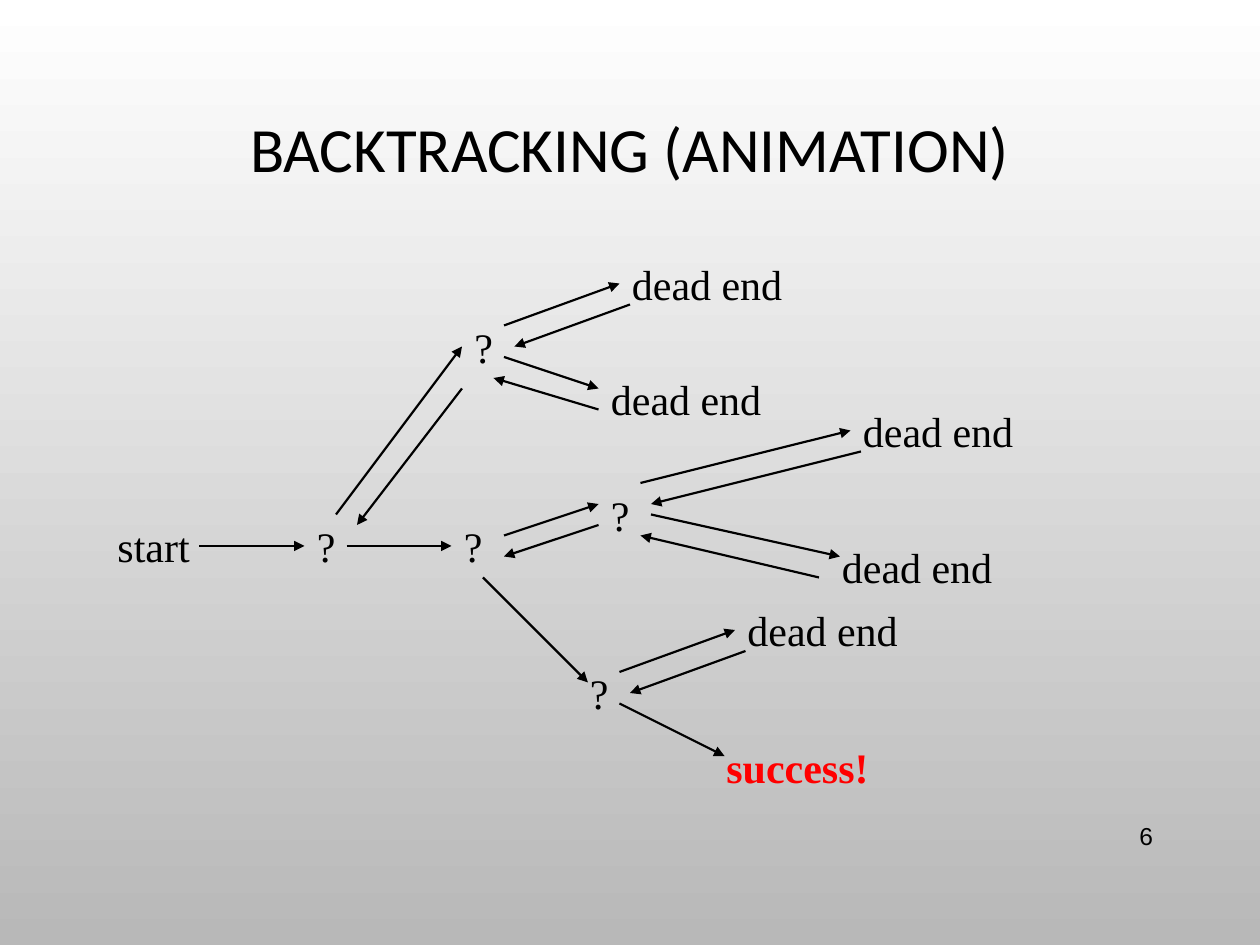
import pptx
import pptx.dml.color
import pptx.enum.shapes
import pptx.enum.text
import pptx.oxml
import pptx.oxml.ns
import pptx.util
from pptx.util import Pt

COLORS = {"ink": "000000", "success": "FF0000", "top": "FFFFFF", "bottom": "B8B8B8"}
ALIGN = pptx.enum.text.PP_ALIGN
ANCHOR = pptx.enum.text.MSO_ANCHOR

# left, top, width, text
NODES = [
    (60, 294, 60, "start"),
    (174, 294, 36, "?"),
    (264, 180, 30, "?"),
    (258, 294, 36, "?"),
    (342, 276, 36, "?"),
    (330, 378, 36, "?"),
    (354, 144, 126, "dead end"),
    (342, 210, 126, "dead end"),
    (486, 228, 126, "dead end"),
    (474, 306, 126, "dead end"),
    (420, 342, 126, "dead end"),
]

# start x, start y, end x, end y
FORWARD_STEPS = [
    (114, 312, 174, 312),
    (192, 294, 264, 198),
    (198, 312, 258, 312),
    (288, 186, 354, 162),
    (288, 204, 342, 222),
    (288, 306, 342, 288),
    (366, 276, 486, 246),
    (372, 294, 480, 318),
    (276, 330, 336, 390),
    (354, 384, 420, 360),
    (354, 402, 414, 432),
]
BACKWARD_STEPS = [
    (360, 174, 294, 198),
    (342, 234, 282, 216),
    (264, 222, 204, 300),
    (492, 258, 372, 288),
    (468, 330, 366, 306),
    (342, 300, 288, 318),
    (426, 372, 360, 396),
]


def rgb(name):
    return pptx.dml.color.RGBColor.from_string(COLORS[name])


def paint_background(page):
    fill = page.background.fill
    fill.gradient()
    fill.gradient_angle = 270
    for stop, name, position in zip(fill.gradient_stops, ("top", "bottom"), (0, 1)):
        stop.color.rgb = rgb(name)
        stop.position = position


def add_text(page, left, top, width, height, text, font, size,
             color="ink", align=ALIGN.LEFT, anchor=ANCHOR.TOP):
    """Add a one-paragraph text box and return it."""
    box = page.shapes.add_textbox(Pt(left), Pt(top), Pt(width), Pt(height))
    frame = box.text_frame
    frame.word_wrap = True
    frame.vertical_anchor = anchor
    para = frame.paragraphs[0]
    para.text = text
    para.alignment = align
    para.font.name = font
    para.font.size = Pt(size)
    para.font.color.rgb = rgb(color)
    return box


def add_node(page, left, top, width, text, color="ink", bold=False):
    box = add_text(page, left, top, width, 36, text, "Times New Roman", 24, color)
    box.text_frame.auto_size = pptx.enum.text.MSO_AUTO_SIZE.SHAPE_TO_FIT_TEXT
    para = box.text_frame.paragraphs[0]
    para.space_before = Pt(15)
    para.font.bold = bold


def add_arrow(page, *ends):
    arrow = page.shapes.add_connector(
        pptx.enum.shapes.MSO_CONNECTOR.STRAIGHT, *[Pt(end) for end in ends])
    arrow.line.color.rgb = rgb("ink")
    arrow.line.width = Pt(1.25)
    qn = pptx.oxml.ns.qn
    head = arrow.line._get_or_add_ln().makeelement(qn("a:tailEnd"), {"type": "triangle"})
    arrow.line._get_or_add_ln().append(head)
    properties = arrow._element.spPr
    properties.append(properties.makeelement(qn("a:effectLst"), {}))


def main():
    deck = pptx.Presentation()
    deck.slide_width, deck.slide_height = Pt(720), Pt(540)
    page = deck.slides.add_slide(deck.slide_layouts[6])
    paint_background(page)

    title = add_text(page, 54, 24.5, 612, 125.3, "BACKTRACKING (ANIMATION)",
                     "Calibri", 36, align=ALIGN.CENTER, anchor=ANCHOR.MIDDLE)
    title.text_frame.paragraphs[0].line_spacing = 0.9
    add_text(page, 620.6, 463, 45.4, 28.8, "6", "Arial", 14,
             align=ALIGN.RIGHT, anchor=ANCHOR.MIDDLE)

    for node in NODES:
        add_node(page, *node)
    add_node(page, 408, 420, 126, "success!", "success", bold=True)
    for step in FORWARD_STEPS + BACKWARD_STEPS:
        add_arrow(page, *step)

    deck.save("out.pptx")


if __name__ == "__main__":
    main()
